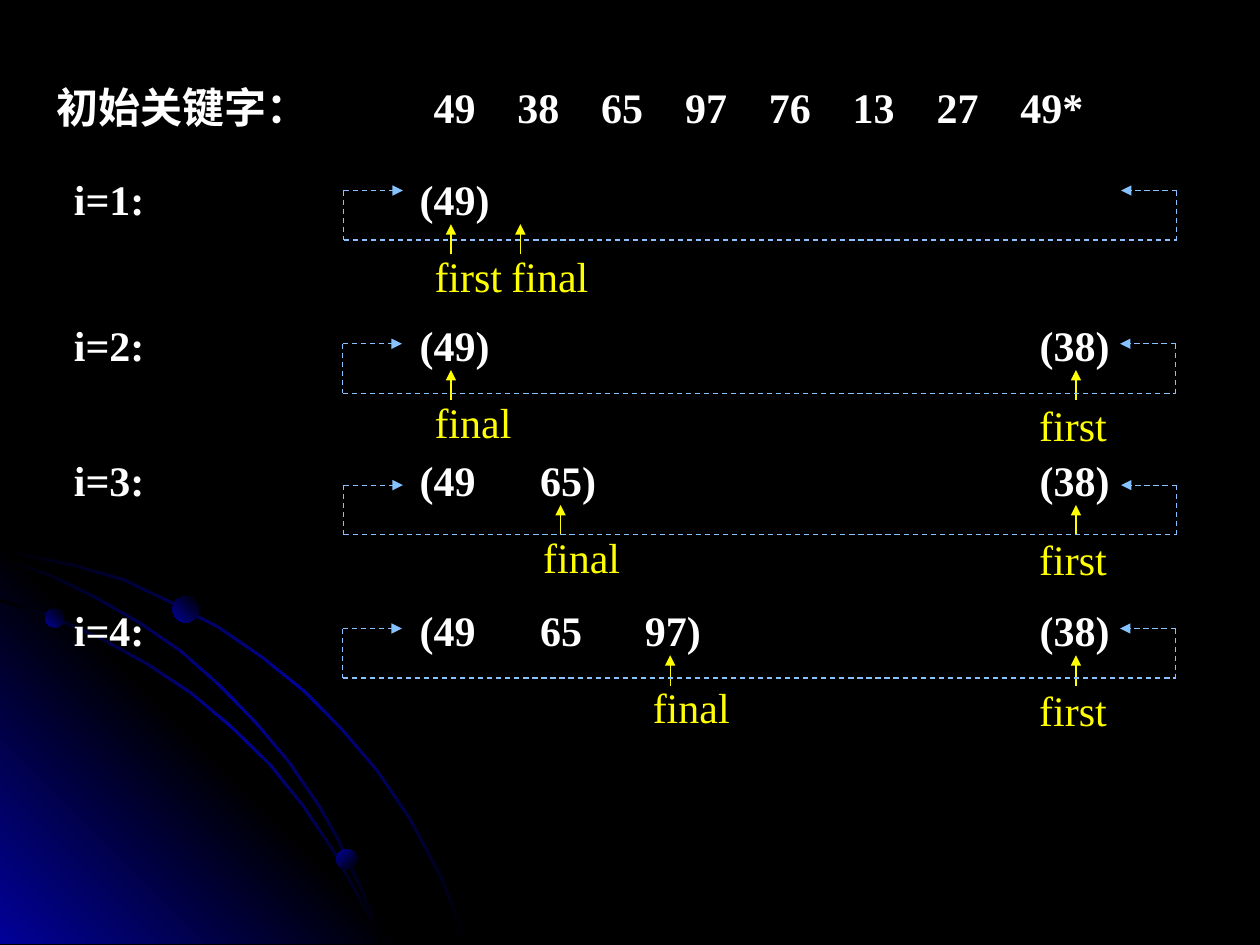
from lxml import etree
from pptx import Presentation
from pptx import util as u
from pptx.dml.color import RGBColor
from pptx.enum import dml, shapes, text
from pptx.oxml import ns

BLACK = RGBColor(0x00, 0x00, 0x00)
WHITE = RGBColor(0xFF, 0xFF, 0xFF)
YELLOW = RGBColor(0xFF, 0xFF, 0x00)
SKY = RGBColor(0x85, 0xC2, 0xFF)
NAVY = RGBColor(0x01, 0x01, 0x99)

LINE_HEIGHT = 1.27
INSET = 0.25

# Upper edges of the three orbit ribbons, in cm from the corner box
OUTER_ORBIT = [(0, 0.2), (0.71, 0.36), (1.45, 0.51), (2.49, 0.81), (3.45, 1.27),
               (4.42, 1.78), (5.31, 2.39), (6.15, 3.07), (6.91, 3.84), (7.62, 4.67),
               (8.26, 5.61), (8.61, 6.25), (8.94, 6.88), (9.19, 7.52), (9.45, 8.18)]
INNER_ORBIT = [(0, 1.22), (1.04, 1.55), (2.01, 1.98), (2.97, 2.51), (3.86, 3.1),
               (4.67, 3.78), (5.46, 4.55), (6.15, 5.41), (6.76, 6.32), (7.26, 7.24),
               (7.52, 7.7), (7.7, 8.18)]
MIDDLE_ORBIT = [(0, 0.38), (0.99, 0.71), (1.93, 1.17), (2.82, 1.68), (3.66, 2.26),
                (4.44, 2.95), (5.18, 3.71), (5.82, 4.47), (6.45, 5.38), (6.83, 6.05),
                (7.16, 6.76), (7.47, 7.44), (7.7, 8.18)]
CORNER = [(0, 8.18), (0, 0), (8.18, 8.18)]
PLANETS = [(0.91, 1.42, 0.38, 315), (6.78, 6.27, 0.41, 45), (3.48, 1.17, 0.53, 315)]

# Columns and pointer marks, in cm from the left of a step
C49, C65, C97, C38 = 6.97, 9.4, 11.51, 19.47
FIRST_RIGHT = ("first", 20.45, 0.99)
# Step: top, loop left, loop drop, cells (word, column), marks (word, arrow x, label shift)
STEPS = [
    (3.38, 5.69, 0.46, [("(49)", C49)], [("first", 7.85, 0.58), ("final", 9.25, 0.43)]),
    (6.32, 5.67, 0.61, [("(49)", C49), ("(38)", C38)],
     [("final", 7.85, 0.58), FIRST_RIGHT]),
    (9.04, 5.69, 0.74, [("(49", C49), ("65)", C65), ("(38)", C38)],
     [("final", 10.06, 0.6), FIRST_RIGHT]),
    (12.07, 5.67, 0.6, [("(49", C49), ("65", C65), ("97)", C97), ("(38)", C38)],
     [("final", 12.27, 0.6), FIRST_RIGHT]),
]


def set_gradient(shape, colours, angle):
    """Fill with evenly spaced colours; the angle runs clockwise in degrees."""
    shape.shadow.inherit = False
    shape.line.fill.background()
    shape.fill.gradient()
    gradient = shape._element.spPr.find(ns.qn("a:gradFill"))
    for child in list(gradient):
        gradient.remove(child)
    stops = etree.SubElement(gradient, ns.qn("a:gsLst"))
    for index, colour in enumerate(colours):
        position = 100000 * index // (len(colours) - 1)
        stop = etree.SubElement(stops, ns.qn("a:gs"), pos=str(position))
        etree.SubElement(stop, ns.qn("a:srgbClr"), val=str(colour))
    etree.SubElement(gradient, ns.qn("a:lin"), ang=str(angle * 60000), scaled="0")


def add_outline(page, left, top, points):
    corners = [(u.Cm(left + x), u.Cm(top + y)) for x, y in points]
    builder = page.shapes.build_freeform(*corners[0])
    builder.add_line_segments(corners[1:], close=True)
    return builder.convert_to_shape()


def add_ribbon(page, left, top, edge, width=0.06):
    """A thin band whose offset turns from downward to leftward along the edge."""
    last = len(edge) - 1
    back = [(x - width * i / last, y + width * (1 - i / last))
            for i, (x, y) in enumerate(edge)]
    ribbon = add_outline(page, left, top, edge + back[::-1])
    set_gradient(ribbon, [BLACK, NAVY, BLACK], 45)


def add_line(holder, start, end, colour, dashed=False, arrow=False):
    line = holder.shapes.add_connector(
        shapes.MSO_CONNECTOR.STRAIGHT, *(u.Cm(value) for value in start + end))
    line.line.color.rgb = colour
    line.line.width = u.Pt(0.75)
    if dashed:
        line.line.dash_style = dml.MSO_LINE.DASH
    if arrow:
        etree.SubElement(line.line._get_or_add_ln(), ns.qn("a:tailEnd"), type="triangle")
    etree.SubElement(line._element.spPr, ns.qn("a:effectLst"))


def add_words(page, left, top, width, words, colour, bold=False, tabs=(), wrap=True):
    box = page.shapes.add_textbox(u.Cm(left), u.Cm(top), u.Cm(width), u.Cm(LINE_HEIGHT))
    box.text_frame.word_wrap = wrap
    box.text_frame.auto_size = text.MSO_AUTO_SIZE.SHAPE_TO_FIT_TEXT
    para = box.text_frame.paragraphs[0]
    para.text = words
    if tabs:
        tab_list = etree.SubElement(para._p.get_or_add_pPr(), ns.qn("a:tabLst"))
        for tab in tabs:
            etree.SubElement(tab_list, ns.qn("a:tab"), pos=str(u.Cm(tab)), algn="l")
    for span in para.runs:
        span.font.name = "Times New Roman"
        span.font.size = u.Pt(24)
        span.font.bold = bold
        span.font.color.rgb = colour


def draw_corner(page, left, top):
    """Glowing corner with orbits and planets."""
    add_ribbon(page, left, top, OUTER_ORBIT)
    set_gradient(add_outline(page, left, top, CORNER), [NAVY, BLACK, NAVY], 315)
    add_ribbon(page, left, top, INNER_ORBIT)
    add_ribbon(page, left, top, MIDDLE_ORBIT)
    for x, y, size, angle in PLANETS:
        planet = page.shapes.add_shape(
            shapes.MSO_SHAPE.OVAL, u.Cm(left + x), u.Cm(top + y), u.Cm(size), u.Cm(size))
        set_gradient(planet, [NAVY, BLACK], angle)


def draw_keys(page, left, top, width):
    """Heading row with the unsorted keys on an even grid."""
    keys = ["49", "38", "65", "97", "76", "13", "27", "49*"]
    tabs = [7.6 + 1.69 * index for index in range(len(keys))]
    add_words(page, left, top, width, "\t".join(["初始关键字：", *keys]), WHITE, True, tabs)


def draw_loop(page, left, top, width, height):
    """Dashed loop that joins both ends of the circular array."""
    right, bottom = left + width, top + height
    group = page.shapes.add_group_shape()
    add_line(group, (left, top), (left + 1.19, top), SKY, True, True)
    add_line(group, (right, top), (right - 1.12, top), SKY, True, True)
    add_line(group, (left, top), (left, bottom), SKY, True)
    add_line(group, (left, bottom), (right, bottom), SKY, True)
    add_line(group, (right, top), (right, bottom), SKY, True)


def draw_step(page, left, top, width, title, cells, marks):
    """One insertion step: the array and its first and final pointers."""
    words = "\t".join([title] + [word for word, _ in cells])
    add_words(page, left, top, width, words, WHITE, True, [column for _, column in cells])
    for word, x, shift in marks:
        arrow_x = left + x
        add_line(page, (arrow_x, top + 1.75), (arrow_x, top + 1.14), YELLOW, arrow=True)
        drop = 1.6 if (word, x, shift) == FIRST_RIGHT else 1.55
        add_words(page, arrow_x - shift, top + drop, 2.1, word, YELLOW, wrap=False)


def main():
    deck = Presentation()
    deck.slide_width, deck.slide_height = u.Cm(25.4), u.Cm(19.05)
    page = deck.slides.add_slide(deck.slide_layouts[6])
    page.background.fill.solid()
    page.background.fill.fore_color.rgb = BLACK

    draw_corner(page, 0, 10.85)
    draw_keys(page, 0.89, 1.52, 23.6)
    left = 1.24
    for number, (top, loop_left, loop_drop, cells, marks) in enumerate(STEPS, 1):
        draw_step(page, left, top, 23.01, f"i={number}:", cells, marks)
        draw_loop(page, left + loop_left, top + loop_drop, 16.79, 1)
    deck.save("out.pptx")


if __name__ == "__main__":
    main()
